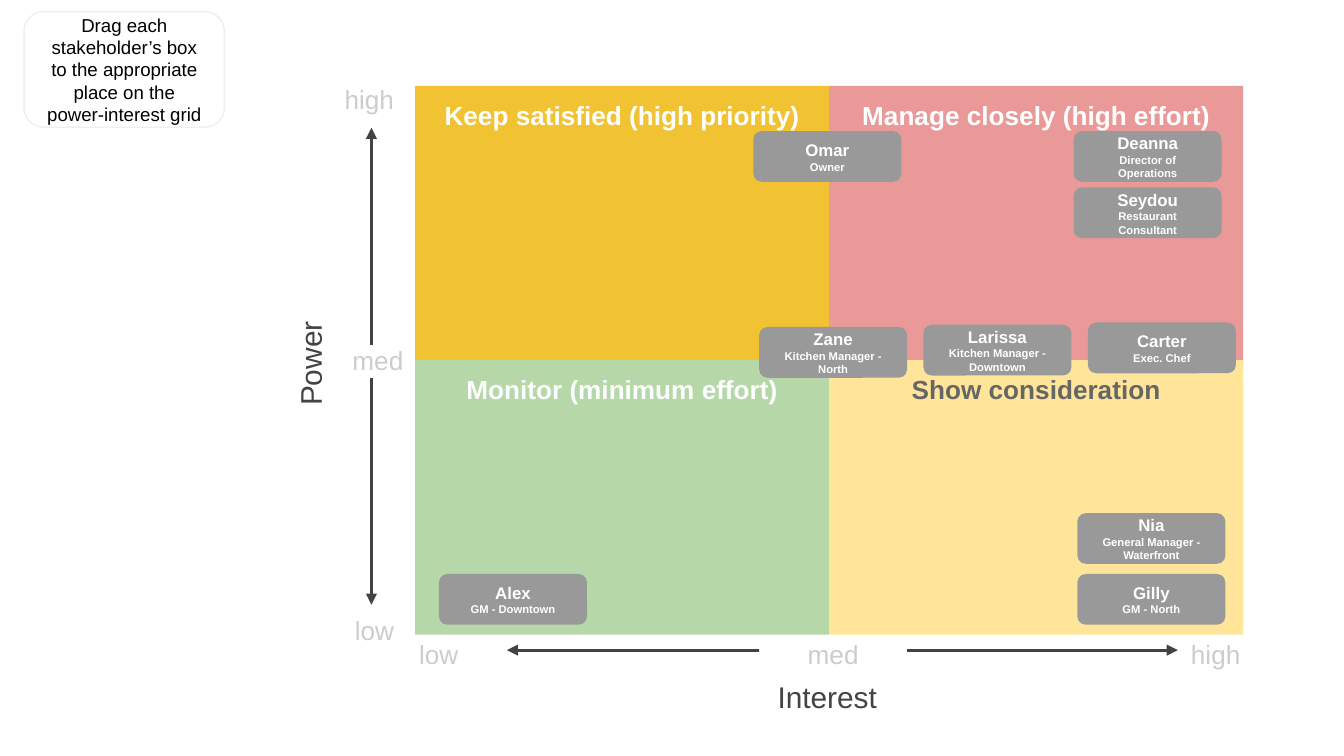
"""Build a power-interest grid slide for restaurant stakeholders."""
from typing import NamedTuple

from lxml.etree import SubElement
from pptx import Presentation
from pptx.dml.color import RGBColor
from pptx.enum.shapes import MSO_CONNECTOR, MSO_SHAPE
from pptx.enum.text import MSO_ANCHOR as Anchor, PP_ALIGN as Align
from pptx.oxml.ns import qn
from pptx.util import Pt

WHITE = RGBColor(0xFF, 0xFF, 0xFF)
BLACK = RGBColor(0x00, 0x00, 0x00)
GOLD = RGBColor(0xF1, 0xC2, 0x32)
ROSE = RGBColor(0xEA, 0x99, 0x99)
GREEN = RGBColor(0xB6, 0xD7, 0xA8)
CREAM = RGBColor(0xFF, 0xE5, 0x99)
CARD_GRAY = RGBColor(0x99, 0x99, 0x99)
HEADING_GRAY = RGBColor(0x66, 0x66, 0x66)
AXIS_GRAY = RGBColor(0x43, 0x43, 0x43)
TICK_GRAY = RGBColor(0xCC, 0xCC, 0xCC)
NOTE_BORDER = RGBColor(0xEF, 0xEF, 0xEF)

FONT = "Arial"
INSET = 7.2
GRID_LEFT, GRID_TOP = 222.4, 46
QUADRANT_WIDTH, QUADRANT_HEIGHT = 221.8, 147
CARD_WIDTH, CARD_HEIGHT = 79.3, 27.2
POWER_AXIS, INTEREST_AXIS = 199, 348.3


class Box(NamedTuple):
    left: float
    top: float
    width: float
    height: float


class Quadrant(NamedTuple):
    column: int
    row: int
    heading: str
    fill: RGBColor
    color: RGBColor = WHITE


class Label(NamedTuple):
    text: str
    box: Box
    size: float = 14
    color: RGBColor = TICK_GRAY
    align: Align = Align.CENTER
    anchor: Anchor = Anchor.TOP
    rotation: float = 0


class Arrow(NamedTuple):
    start_x: float
    start_y: float
    end_x: float
    end_y: float


class Stakeholder(NamedTuple):
    name: str
    role: str
    left: float
    top: float


QUADRANTS = [
    Quadrant(0, 0, "Keep satisfied (high priority)", GOLD),
    Quadrant(1, 0, "Manage closely (high effort)", ROSE),
    Quadrant(0, 1, "Monitor (minimum effort)", GREEN),
    Quadrant(1, 1, "Show consideration", CREAM, HEADING_GRAY),
]
LABELS = [
    Label("Power", Box(100.1, 182.2, 131.8, 25.2), 16, AXIS_GRAY,
          anchor=Anchor.MIDDLE, rotation=270),
    Label("high", Box(122.4, 37.4, 95.8, 18.7), align=Align.RIGHT),
    Label("med", Box(174.2, 177.1, 49, 31.7), align=Align.RIGHT),
    Label("low", Box(122.4, 321.8, 95.8, 18.7), align=Align.RIGHT),
    Label("low", Box(198.7, 334.8, 72.7, 27.4)),
    Label("med", Box(406.8, 334.8, 79.2, 27.4)),
    Label("high", Box(614.9, 334.8, 72.7, 27.4)),
    Label("Interest", Box(389.5, 356.4, 107.3, 33.8), 16, AXIS_GRAY),
]
ARROWS = [
    Arrow(POWER_AXIS, 185, POWER_AXIS, 68.4),
    Arrow(POWER_AXIS, 202.5, POWER_AXIS, 324),
    Arrow(486, INTEREST_AXIS, 631, INTEREST_AXIS),
    Arrow(406.8, INTEREST_AXIS, 271.5, INTEREST_AXIS),
]
STAKEHOLDERS = [
    Stakeholder("Omar", "Owner", 403.6, 70.2),
    Stakeholder("Deanna", "Director of Operations", 575.2, 70.2),
    Stakeholder("Seydou", "Restaurant Consultant", 575.2, 100.4),
    Stakeholder("Zane", "Kitchen Manager - North", 406.7, 175.2),
    Stakeholder("Larissa", "Kitchen Manager - Downtown", 494.7, 174),
    Stakeholder("Carter", "Exec. Chef", 582.8, 172.8),
    Stakeholder("Nia", "General Manager - Waterfront", 577.2, 274.9),
    Stakeholder("Gilly", "GM - North", 577.2, 307.5),
    Stakeholder("Alex", "GM - Downtown", 235.2, 307.5),
]


def add_text(shape, text: str, *, size: float, color: RGBColor, bold: bool = False,
             align: Align = Align.CENTER, anchor: Anchor = Anchor.TOP) -> None:
    """Add one paragraph to a shape, using its first paragraph while empty."""
    frame = shape.text_frame
    frame.word_wrap = True
    frame.vertical_anchor = anchor
    frame.margin_left = frame.margin_right = Pt(INSET)
    frame.margin_top = frame.margin_bottom = Pt(INSET)
    paragraph = frame.add_paragraph() if frame.text else frame.paragraphs[0]
    paragraph.alignment = align
    run = paragraph.add_run()
    run.text = text
    run.font.name, run.font.size, run.font.bold = FONT, Pt(size), bold
    run.font.color.rgb = color


def add_box(slide, kind: MSO_SHAPE, box: Box, fill: RGBColor | None = None,
            border: RGBColor | None = None):
    """Add a flat preset shape with an optional fill and border."""
    shape = slide.shapes.add_shape(kind, *map(Pt, box))
    shape.shadow.inherit = False
    if fill is None:
        shape.fill.background()
    else:
        shape.fill.solid()
        shape.fill.fore_color.rgb = fill
    if border is None:
        shape.line.fill.background()
    else:
        shape.line.color.rgb = border
        shape.line.width = Pt(0.75)
    return shape


def add_quadrant(slide, quadrant: Quadrant) -> None:
    """Draw one quarter of the grid with its heading."""
    box = Box(GRID_LEFT + quadrant.column * QUADRANT_WIDTH,
              GRID_TOP + quadrant.row * QUADRANT_HEIGHT,
              QUADRANT_WIDTH, QUADRANT_HEIGHT)
    shape = add_box(slide, MSO_SHAPE.RECTANGLE, box, quadrant.fill)
    add_text(shape, quadrant.heading, size=14, color=quadrant.color, bold=True)


def add_label(slide, label: Label) -> None:
    """Draw an axis title or tick label."""
    shape = slide.shapes.add_textbox(*map(Pt, label.box))
    shape.rotation = label.rotation
    add_text(shape, label.text, size=label.size, color=label.color,
             align=label.align, anchor=label.anchor)


def add_arrow(slide, arrow: Arrow) -> None:
    """Draw an axis arrow with its head at the end point."""
    connector = slide.shapes.add_connector(MSO_CONNECTOR.STRAIGHT, *map(Pt, arrow))
    connector.line.color.rgb = AXIS_GRAY
    connector.line.width = Pt(1.5)
    properties = connector._element.spPr
    SubElement(properties.find(qn("a:ln")), qn("a:tailEnd"), type="triangle")
    SubElement(properties, qn("a:effectLst"))


def add_card(slide, person: Stakeholder) -> None:
    """Draw a stakeholder card with name and role."""
    box = Box(person.left, person.top, CARD_WIDTH, CARD_HEIGHT)
    shape = add_box(slide, MSO_SHAPE.ROUNDED_RECTANGLE, box, CARD_GRAY)
    for text, size in ((person.name, 9), (person.role, 6)):
        add_text(shape, text, size=size, color=WHITE, bold=True, anchor=Anchor.MIDDLE)


def main() -> None:
    """Assemble and save the slide."""
    presentation = Presentation()
    presentation.slide_width, presentation.slide_height = Pt(720), Pt(405)
    slide = presentation.slides.add_slide(presentation.slide_layouts.get_by_name("Blank"))
    for quadrant in QUADRANTS:
        add_quadrant(slide, quadrant)
    for label in LABELS:
        add_label(slide, label)
    for arrow in ARROWS:
        add_arrow(slide, arrow)
    note = add_box(slide, MSO_SHAPE.ROUNDED_RECTANGLE, Box(12.9, 6.3, 107.3, 61.9),
                   border=NOTE_BORDER)
    add_text(note, "Drag each stakeholder’s box to the appropriate place on the "
             "power-interest grid", size=10, color=BLACK, anchor=Anchor.MIDDLE)
    for person in STAKEHOLDERS:
        add_card(slide, person)
    presentation.save("out.pptx")


if __name__ == "__main__":
    main()
